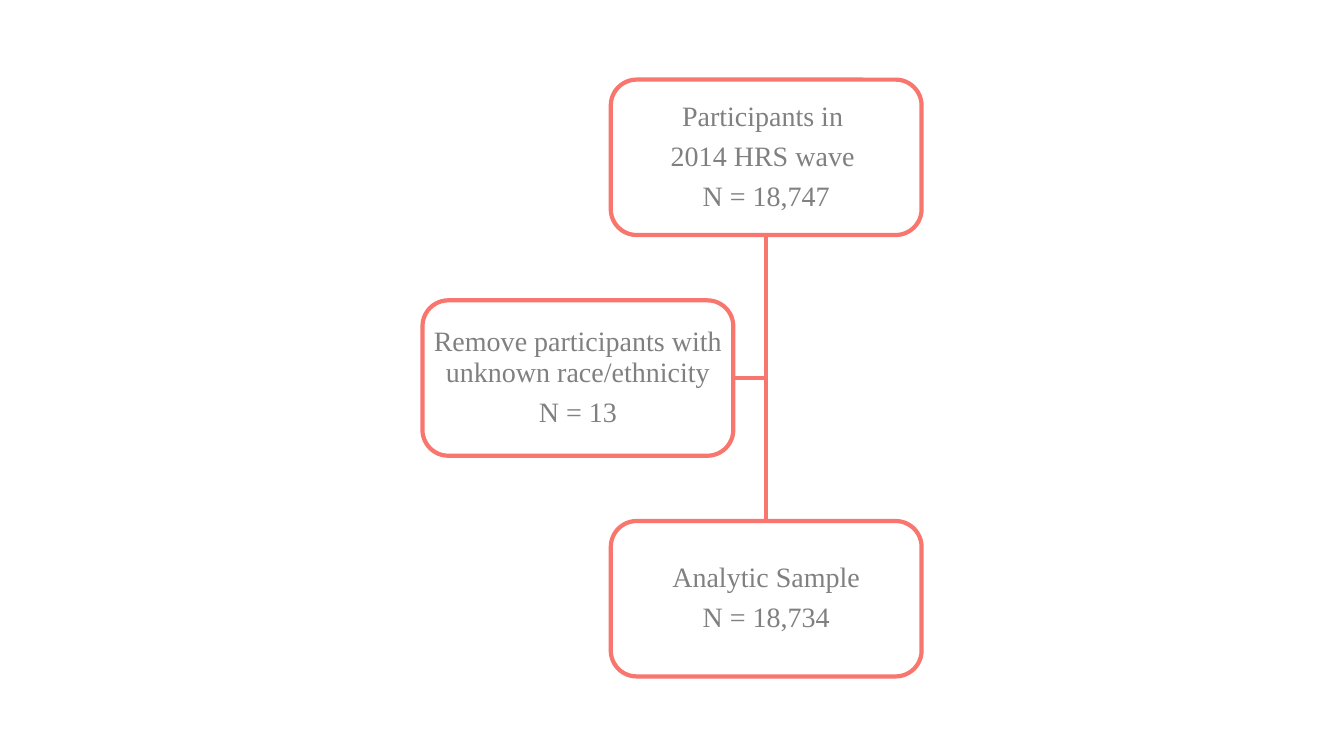
from lxml import etree
from pptx import Presentation
from pptx.dml.color import RGBColor
from pptx.enum.shapes import MSO_CONNECTOR, MSO_SHAPE
from pptx.enum.text import MSO_ANCHOR, PP_ALIGN
from pptx.oxml.ns import qn
from pptx.util import Pt

ROUNDED = MSO_SHAPE.ROUNDED_RECTANGLE
STRAIGHT = MSO_CONNECTOR.STRAIGHT
MIDDLE = MSO_ANCHOR.MIDDLE
CENTER = PP_ALIGN.CENTER

COLORS = {"line": "F8766D", "text": "808080"}
LINE_WIDTH = 3
BOX_WIDTH, BOX_HEIGHT = 222, 111
ROW_PITCH = 157.65
SIDE_SHIFT = 134.5
BOTTOM_SITE, TOP_SITE = 2, 0

START_LINES = ["Participants in ", "2014 HRS wave ", "N = 18,747"]
REMOVED_LINES = ["Remove participants with unknown race/ethnicity", "N = 13"]
SAMPLE_LINES = ["Analytic Sample", "N = 18,734"]


def style_line(line):
    """Give an outline or connector the chart's line colour and width."""
    line.color.rgb = RGBColor.from_string(COLORS["line"])
    line.width = Pt(LINE_WIDTH)


def write_text(frame, lines, *, font="Times New Roman", size=20, color="text", after=7):
    """Write one centred paragraph per line."""
    frame.word_wrap = True
    frame.vertical_anchor = MIDDLE
    frame.margin_left = frame.margin_right = Pt(0.72)
    frame.margin_top = frame.margin_bottom = Pt(0.72)
    for index, text in enumerate(lines):
        para = frame.add_paragraph() if index else frame.paragraphs[0]
        para.alignment = CENTER
        para.line_spacing = 0.9
        para.space_after = Pt(after)
        span = para.add_run()
        span.text = text
        span.font.name = font
        span.font.size = Pt(size)
        span.font.color.rgb = RGBColor.from_string(COLORS[color])


def add_step(page, left, top, lines):
    """Add one outlined rounded box with its text."""
    box = page.shapes.add_shape(ROUNDED, Pt(left), Pt(top), Pt(BOX_WIDTH), Pt(BOX_HEIGHT))
    box.shadow.inherit = False
    box.fill.background()
    style_line(box.line)
    write_text(box.text_frame, lines)
    return box


def add_link(page, start, end):
    """Add a plain straight connector between two points."""
    link = page.shapes.add_connector(STRAIGHT, *map(Pt, start + end))
    style_line(link.line)
    etree.SubElement(link._element.spPr, qn("a:effectLst"))
    return link


def add_flow(page, left, top):
    """Add the sample selection flow, with its side box starting at left."""
    main_left = left + SIDE_SHIFT
    trunk_x = main_left + BOX_WIDTH / 2
    side_top, sample_top = top + ROW_PITCH, top + 2 * ROW_PITCH
    branch_y = side_top + BOX_HEIGHT / 2
    add_link(page, (trunk_x, branch_y), (left + BOX_WIDTH, branch_y))
    trunk = add_link(page, (trunk_x, top + BOX_HEIGHT), (trunk_x, sample_top))
    start = add_step(page, main_left, top, START_LINES)
    sample = add_step(page, main_left, sample_top, SAMPLE_LINES)
    add_step(page, left, side_top, REMOVED_LINES)
    trunk.begin_connect(start, BOTTOM_SITE)
    trunk.end_connect(sample, TOP_SITE)


def main():
    """Build and save the one-page deck."""
    deck = Presentation()
    deck.slide_width, deck.slide_height = Pt(960), Pt(540)
    page = deck.slides.add_slide(deck.slide_layouts.get_by_name("Blank"))
    add_flow(page, left=301.8, top=56.9)
    deck.save("out.pptx")


main()
